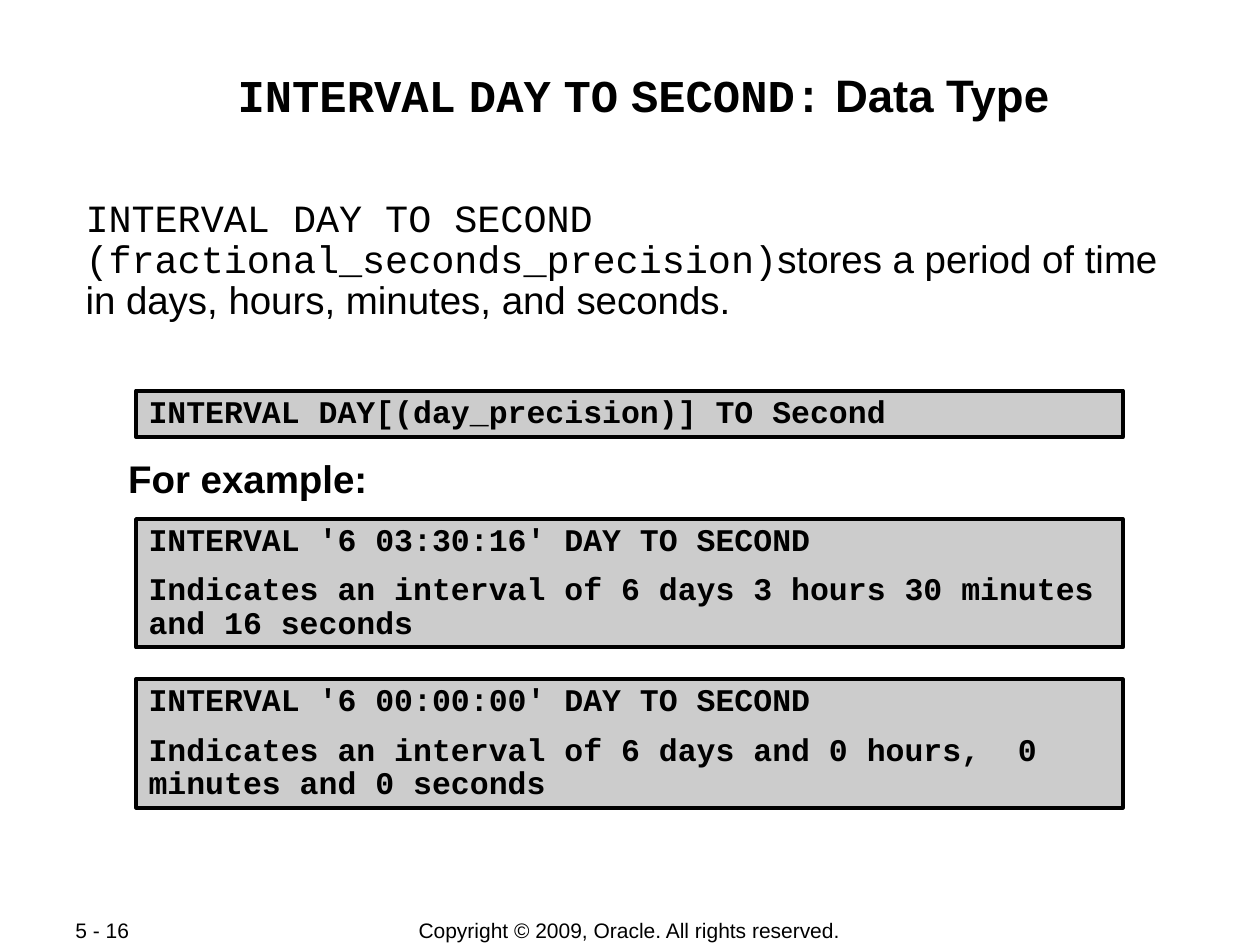
from dataclasses import dataclass

from pptx import Presentation
from pptx.dml.color import RGBColor
from pptx.enum.shapes import MSO_SHAPE
from pptx.enum.text import MSO_ANCHOR, MSO_AUTO_SIZE, PP_ALIGN
from pptx.slide import Slide
from pptx.text.text import TextFrame
from pptx.util import Pt

SANS = "Arial"
MONO = "Courier New"
BLACK = "000000"
GRAY = "CCCCCC"
LEFT = 48.2
WIDTH = 623.5


@dataclass
class Bit:
    text: str
    font: str = SANS


@dataclass
class Label:
    left: float
    top: float
    width: float
    height: float
    bits: list[Bit]
    size: float
    bold: bool = False
    align: PP_ALIGN = PP_ALIGN.LEFT
    anchor: MSO_ANCHOR = MSO_ANCHOR.TOP
    inset: tuple[float, float] = (7.2, 3.6)
    space: float = 1


@dataclass
class Code:
    top: float
    height: float
    lines: list[str]


def color(code: str) -> RGBColor:
    return RGBColor.from_string(code)


def style(font, name: str, size: float, bold: bool) -> None:
    font.name = name
    font.size = Pt(size)
    font.bold = bold
    font.color.rgb = color(BLACK)


def set_frame(frame: TextFrame, inset: tuple[float, float], anchor: MSO_ANCHOR) -> None:
    frame.word_wrap = True
    frame.auto_size = MSO_AUTO_SIZE.NONE
    frame.vertical_anchor = anchor
    frame.margin_left = frame.margin_right = Pt(inset[0])
    frame.margin_top = frame.margin_bottom = Pt(inset[1])


def fill_label(shape, label: Label) -> None:
    shape.left, shape.top = Pt(label.left), Pt(label.top)
    shape.width, shape.height = Pt(label.width), Pt(label.height)
    set_frame(shape.text_frame, label.inset, label.anchor)
    para = shape.text_frame.paragraphs[0]
    para.alignment = label.align
    para.line_spacing = label.space
    for bit in label.bits:
        run = para.add_run()
        run.text = bit.text
        style(run.font, bit.font, label.size, label.bold)


def draw_label(slide: Slide, label: Label) -> None:
    fill_label(slide.shapes.add_textbox(0, 0, 0, 0), label)


def draw_code(slide: Slide, code: Code) -> None:
    box = slide.shapes.add_shape(
        MSO_SHAPE.RECTANGLE, Pt(77.8), Pt(code.top), Pt(563.8), Pt(code.height)
    )
    box.shadow.inherit = False
    box.fill.solid()
    box.fill.fore_color.rgb = color(GRAY)
    box.line.color.rgb = color(BLACK)
    box.line.width = Pt(2.25)
    set_frame(box.text_frame, (7.2, 3.6), MSO_ANCHOR.TOP)
    box.text_frame.text = "\n".join(code.lines)
    for num, para in enumerate(box.text_frame.paragraphs):
        para.alignment = PP_ALIGN.LEFT
        para.line_spacing = 0.88
        para.space_before = Pt(9 if num else 0)
        for run in para.runs:
            style(run.font, MONO, 18, True)


TITLE = Label(
    LEFT, 34.6, WIDTH, 69.1,
    [
        Bit("INTERVAL", MONO), Bit(" "), Bit("DAY", MONO), Bit(" "),
        Bit("TO", MONO), Bit(" "), Bit("SECOND:", MONO), Bit(" Data Type"),
    ],
    26, True, PP_ALIGN.CENTER, inset=(0.7, 3.7),
)

LABELS = [
    Label(
        LEFT, 113.8, WIDTH, 72,
        [
            Bit("INTERVAL DAY TO SECOND (fractional_seconds_precision)", MONO),
            Bit("stores a period of time in days, hours, minutes, and seconds."),
        ],
        22, inset=(0.7, 0.7), space=0.88,
    ),
    Label(66.2, 259.9, 581.8, 30.2, [Bit("For example:")], 22, True, space=0.88),
    Label(
        198, 524.2, 323.3, 15.1,
        [Bit("Copyright © 2009, Oracle. All rights reserved.")],
        12, align=PP_ALIGN.CENTER, anchor=MSO_ANCHOR.MIDDLE,
    ),
    Label(36, 524.2, 76.3, 14.4, [Bit("5 - 16")], 12, anchor=MSO_ANCHOR.MIDDLE),
]

CODES = [
    Code(223.2, 26.6, ["INTERVAL DAY[(day_precision)] TO Second"]),
    Code(296.6, 73.4, [
        "INTERVAL '6 03:30:16' DAY TO SECOND",
        "Indicates an interval of 6 days 3 hours 30 minutes and 16 seconds",
    ]),
    Code(388.1, 73.4, [
        "INTERVAL '6 00:00:00' DAY TO SECOND",
        "Indicates an interval of 6 days and 0 hours,  0 minutes and 0 seconds",
    ]),
]


def main() -> None:
    deck = Presentation()
    deck.slide_width, deck.slide_height = Pt(720), Pt(540)
    slide = deck.slides.add_slide(deck.slide_layouts[5])
    fill_label(slide.shapes.title, TITLE)
    slide.shapes.title.text_frame.margin_left = Pt(16.3)
    for label in LABELS:
        draw_label(slide, label)
    for code in CODES:
        draw_code(slide, code)
    deck.save("out.pptx")


if __name__ == "__main__":
    main()
